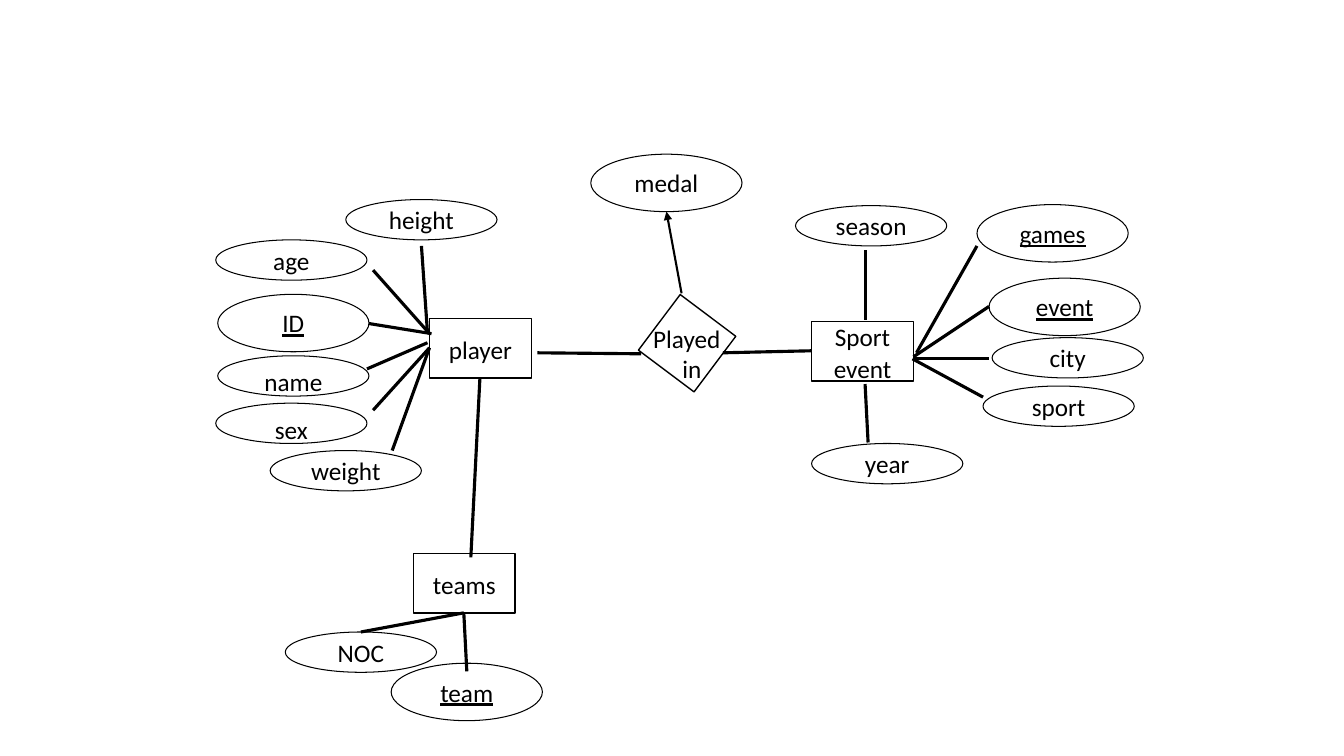
import pptx
import pptx.util
import pptx.dml.color
import pptx.enum.shapes
import pptx.enum.text
import pptx.oxml
import pptx.oxml.ns

Inches = pptx.util.Inches
Pt = pptx.util.Pt
Shape = pptx.enum.shapes.MSO_SHAPE
Align = pptx.enum.text.PP_ALIGN
Anchor = pptx.enum.text.MSO_ANCHOR
BLACK = pptx.dml.color.RGBColor(0, 0, 0)
WHITE = pptx.dml.color.RGBColor(255, 255, 255)
FONT = "Calibri"
OVAL_WIDE, OVAL_LOW, OVAL_TALL = 1.5, 0.4, 0.57
RECT_WIDE, RECT_TALL = 1.01, 0.59


def style(para, key=False):
    font = para.font
    font.name, font.size = FONT, Pt(18)
    font.color.rgb = BLACK
    if key:
        font.underline = True


def outline(slide, kind, left, top, wide, tall, weight):
    shape = slide.shapes.add_shape(
        kind, Inches(left), Inches(top), Inches(wide), Inches(tall))
    shape.shadow.inherit = False
    shape.line.color.rgb = BLACK
    shape.line.width = Pt(weight)
    return shape


def label(shape, text, key=False, anchor=Anchor.MIDDLE):
    frame = shape.text_frame
    frame.word_wrap = True
    frame.vertical_anchor = anchor
    para = frame.paragraphs[0]
    para.text = text
    para.alignment = Align.CENTER
    style(para, key)
    return para


def oval(slide, text, left, top, key=False, tall=OVAL_LOW, anchor=Anchor.MIDDLE):
    """Draw an attribute; key attributes are underlined and taller."""
    shape = outline(slide, Shape.OVAL, left, top, OVAL_WIDE,
                    OVAL_TALL if key else tall, 0.75)
    shape.fill.background()
    label(shape, text, key, anchor)


def entity(slide, text, left, top):
    shape = outline(slide, Shape.RECTANGLE, left, top, RECT_WIDE, RECT_TALL, 1)
    shape.fill.solid()
    shape.fill.fore_color.rgb = WHITE
    para = label(shape, text)
    para.line_spacing = 1.07
    para.space_after = Pt(8)


def link(slide, x1, y1, x2, y2, weight=2.25, arrow=False):
    line = slide.shapes.add_connector(
        pptx.enum.shapes.MSO_CONNECTOR.STRAIGHT,
        Inches(x1), Inches(y1), Inches(x2), Inches(y2))
    line.line.color.rgb = BLACK
    line.line.width = Pt(weight)
    props = line._element.spPr
    if arrow:
        tail = pptx.oxml.parse_xml(
            '<a:tailEnd %s type="triangle"/>' % pptx.oxml.ns.nsdecls("a"))
        line.line._get_or_add_ln().append(tail)
    props.append(pptx.oxml.parse_xml(
        "<a:effectLst %s/>" % pptx.oxml.ns.nsdecls("a")))


def cluster(slide, left, top, box, ovals, links):
    """Draw an entity with its attributes, all relative to left and top."""
    name, x, y = box
    entity(slide, name, left + x, top + y)
    for text, x, y, *rest in ovals:
        oval(slide, text, left + x, top + y, *rest)
    for x1, y1, x2, y2 in links:
        link(slide, left + x1, top + y1, left + x2, top + y2)


def player(slide, left, top):
    ovals = [("height", 1.33, 0.08), ("age", 0.04, 0.48),
             ("ID", 0.06, 1.02, True, OVAL_TALL, Anchor.TOP),
             ("name", 0.06, 1.63, False, OVAL_LOW, Anchor.TOP),
             ("sex", 0.04, 2.1, False, OVAL_LOW, Anchor.TOP),
             ("weight", 0.58, 2.57)]
    links = [(2.14, 1.4, 2.08, 0.54), (2.16, 1.41, 1.6, 0.78),
             (1.56, 1.31, 2.18, 1.41), (1.54, 1.76, 2.14, 1.5),
             (1.6, 2.17, 2.16, 1.55), (1.79, 2.57, 2.16, 1.55)]
    cluster(slide, left, top, ("player", 2.16, 1.26), ovals, links)


def teams(slide, left, top):
    ovals = [("team", 1.08, 1.18, True), ("NOC", 0.03, 0.87)]
    links = [(1.8, 0.68, 1.83, 1.26), (1.8, 0.68, 0.78, 0.87)]
    cluster(slide, left, top, ("teams", 1.3, 0.09), ovals, links)


def sport(slide, left, top):
    ovals = [("season", 0.09, 0.04), ("games", 1.89, 0.03, True),
             ("event", 2.01, 0.76, True), ("city", 2.04, 1.35),
             ("sport", 1.95, 1.83), ("year", 0.25, 2.4)]
    links = [(0.78, 1.17, 0.78, 0.48), (1.89, 0.44, 1.29, 1.5),
             (1.26, 1.54, 2.01, 1.04), (1.26, 1.56, 2.01, 1.56),
             (1.25, 1.56, 1.95, 1.94), (0.78, 1.81, 0.81, 2.39)]
    cluster(slide, left, top, ("Sport event", 0.25, 1.19), ovals, links)


def played(slide, left, top):
    """Draw the relationship diamond with its medal attribute."""
    diamond = outline(slide, Shape.RECTANGLE, left + 0.67, top + 1.56, 0.69, 0.69, 1)
    diamond.rotation = 306.9
    diamond.fill.solid()
    diamond.fill.fore_color.rgb = WHITE
    box = slide.shapes.add_textbox(Inches(left + 0.58), Inches(top + 1.66),
                                   Inches(1.17), Inches(0.71))
    frame = box.text_frame
    frame.word_wrap = True
    frame.text = "Played\nin"
    for para in frame.paragraphs:
        style(para)
    frame.paragraphs[1]._p.get_or_add_pPr().set("marL", str(Inches(0.29)))
    oval(slide, "medal", left + 0.06, top + 0.03, tall=OVAL_TALL)
    link(slide, left + 0.96, top + 1.41, left + 0.81, top + 0.6, 1.5, True)


def main():
    deck = pptx.Presentation()
    deck.slide_width, deck.slide_height = Inches(13.33), Inches(7.5)
    slide = deck.slides.add_slide(deck.slide_layouts[6])
    player(slide, 2.1, 1.9)
    teams(slide, 2.8, 5.4)
    sport(slide, 7.8, 2)
    played(slide, 5.8, 1.5)
    for ends in [(6.36, 3.51, 5.33, 3.5), (4.67, 5.53, 4.76, 3.75),
                 (8.05, 3.48, 7.17, 3.5)]:
        link(slide, *ends)
    deck.save("out.pptx")


if __name__ == "__main__":
    main()
